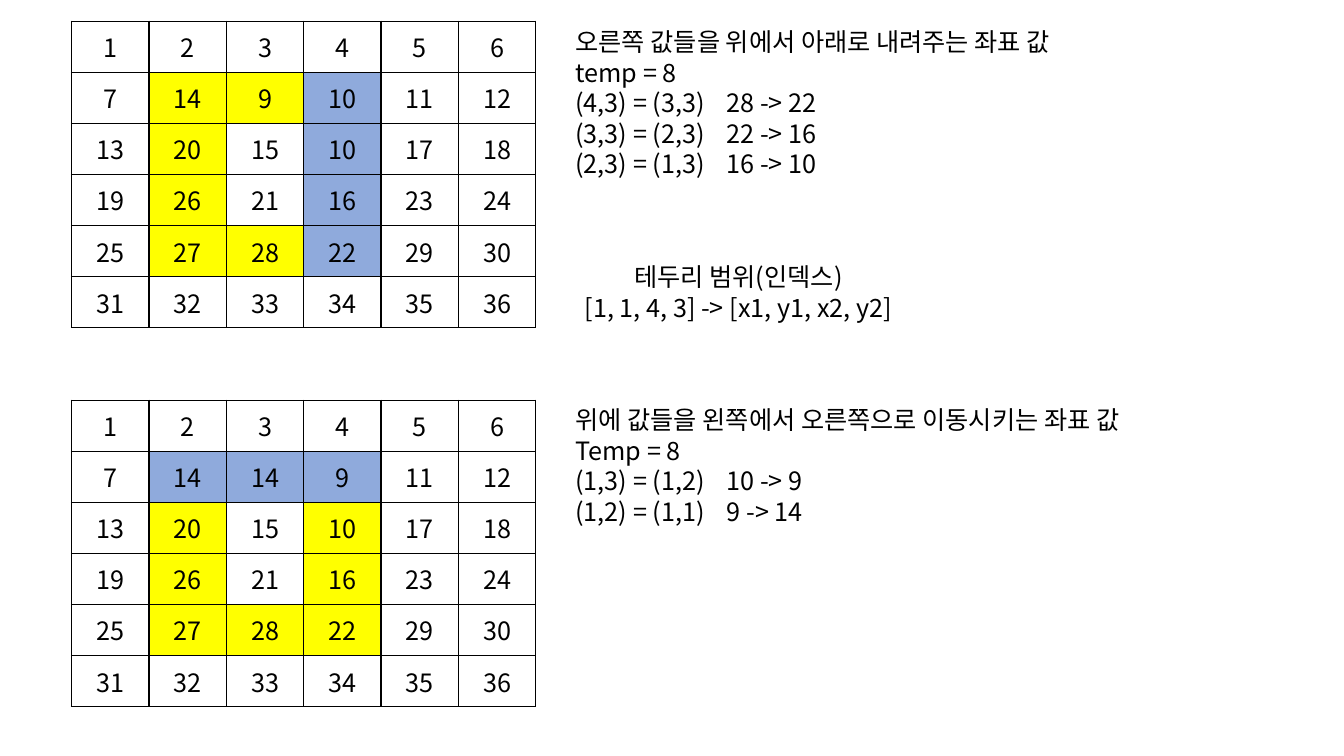
"""Build a slide that shows two steps of rotating the border of a grid."""
from dataclasses import dataclass

from lxml.etree import SubElement
from pptx import Presentation
from pptx.dml.color import RGBColor
from pptx.enum.text import MSO_ANCHOR, MSO_AUTO_SIZE, PP_ALIGN
from pptx.oxml.ns import qn
from pptx.slide import Slide
from pptx.table import _Cell
from pptx.text.text import _Paragraph
from pptx.util import Pt


@dataclass(frozen=True)
class Theme:
    font: str = "Noto Sans CJK KR"
    size: float = 18
    pitch: float = 21.8
    border: float = 1
    ink: str = "000000"
    ring: str = "FFFF00"
    moved: str = "8FAADC"


@dataclass(frozen=True)
class Grid:
    top: float
    values: dict[tuple[int, int], int]
    moved: set[tuple[int, int]]


@dataclass(frozen=True)
class Note:
    top: float
    width: float
    height: float
    lines: tuple[str, ...]
    align: PP_ALIGN = PP_ALIGN.LEFT
    wrap: bool = True


THEME = Theme()
COUNT = 6
GRID_LEFT, COL, ROW = 51.1, 55.3, 36.5
NOTE_LEFT = 404

LEFT_SIDE = {(1, 1): 14, (2, 1): 20, (3, 1): 26, (4, 1): 27, (4, 2): 28}
RIGHT_SIDE = {(2, 3): 10, (3, 3): 16, (4, 3): 22}

GRIDS = (
    Grid(15.1, LEFT_SIDE | RIGHT_SIDE | {(1, 2): 9, (1, 3): 10},
         {(row, 3) for row in range(1, 5)}),
    Grid(285.8, LEFT_SIDE | RIGHT_SIDE | {(1, 2): 14, (1, 3): 9},
         {(1, col) for col in range(1, 4)}),
)

NOTES = (
    Note(15.1, 535, 116.6, (
        "오른쪽 값들을 위에서 아래로 내려주는 좌표 값",
        "temp = 8",
        "(4,3) = (3,3)\t28 -> 22",
        "(3,3) = (2,3)\t22 -> 16",
        "(2,3) = (1,3)\t16 -> 10",
    )),
    Note(183, 247, 51, (
        "테두리 범위(인덱스)",
        "[1, 1, 4, 3] -> [x1, y1, x2, y2]",
    ), PP_ALIGN.CENTER, False),
    Note(285.1, 535, 94.3, (
        "위에 값들을 왼쪽에서 오른쪽으로 이동시키는 좌표 값",
        "Temp = 8",
        "(1,3) = (1,2)\t10 -> 9",
        "(1,2) = (1,1)\t9 -> 14",
    )),
)


def style(para: _Paragraph, align: PP_ALIGN) -> None:
    """Align a paragraph and give its runs the theme font."""
    para.alignment = align
    for run in para.runs:
        run.font.name = THEME.font
        run.font.size = Pt(THEME.size)
        run.font.color.rgb = RGBColor.from_string(THEME.ink)
        SubElement(run.font._element, qn("a:ea"), typeface=THEME.font)


def outline(cell: _Cell) -> None:
    """Draw a border on all four sides of a cell."""
    props = cell._tc.get_or_add_tcPr()
    for side in ("lnL", "lnR", "lnT", "lnB"):
        line = SubElement(props, qn(f"a:{side}"), w=str(Pt(THEME.border)))
        fill = SubElement(line, qn("a:solidFill"))
        SubElement(fill, qn("a:srgbClr"), val=THEME.ink)


def draw_grid(slide: Slide, grid: Grid) -> None:
    """Draw a numbered grid with its ring and moved cells marked."""
    table = slide.shapes.add_table(
        COUNT, COUNT, Pt(GRID_LEFT), Pt(grid.top),
        Pt(COL * COUNT), Pt(ROW * COUNT)).table
    table.first_row = table.horz_banding = False
    for col in table.columns:
        col.width = Pt(COL)
    for row in table.rows:
        row.height = Pt(ROW)
    for index, cell in enumerate(table.iter_cells()):
        place = divmod(index, COUNT)
        cell.text_frame.text = str(grid.values.get(place, index + 1))
        cell.vertical_anchor = MSO_ANCHOR.MIDDLE
        style(cell.text_frame.paragraphs[0], PP_ALIGN.CENTER)
        outline(cell)
        if place in grid.values:
            color = THEME.moved if place in grid.moved else THEME.ring
            cell.fill.solid()
            cell.fill.fore_color.rgb = RGBColor.from_string(color)
        else:
            cell.fill.background()


def draw_note(slide: Slide, note: Note) -> None:
    """Draw a text box with one paragraph for each line."""
    frame = slide.shapes.add_textbox(
        Pt(NOTE_LEFT), Pt(note.top), Pt(note.width), Pt(note.height)).text_frame
    frame.word_wrap = note.wrap
    frame.auto_size = MSO_AUTO_SIZE.SHAPE_TO_FIT_TEXT
    frame.text = "\n".join(note.lines)
    for para in frame.paragraphs:
        para.line_spacing = Pt(THEME.pitch)
        style(para, note.align)


def main() -> None:
    """Build the slide and save it."""
    deck = Presentation()
    deck.slide_width, deck.slide_height = Pt(960), Pt(540)
    slide = deck.slides.add_slide(deck.slide_layouts.get_by_name("Blank"))
    for note in NOTES:
        draw_note(slide, note)
    for grid in GRIDS:
        draw_grid(slide, grid)
    deck.save("out.pptx")


main()
